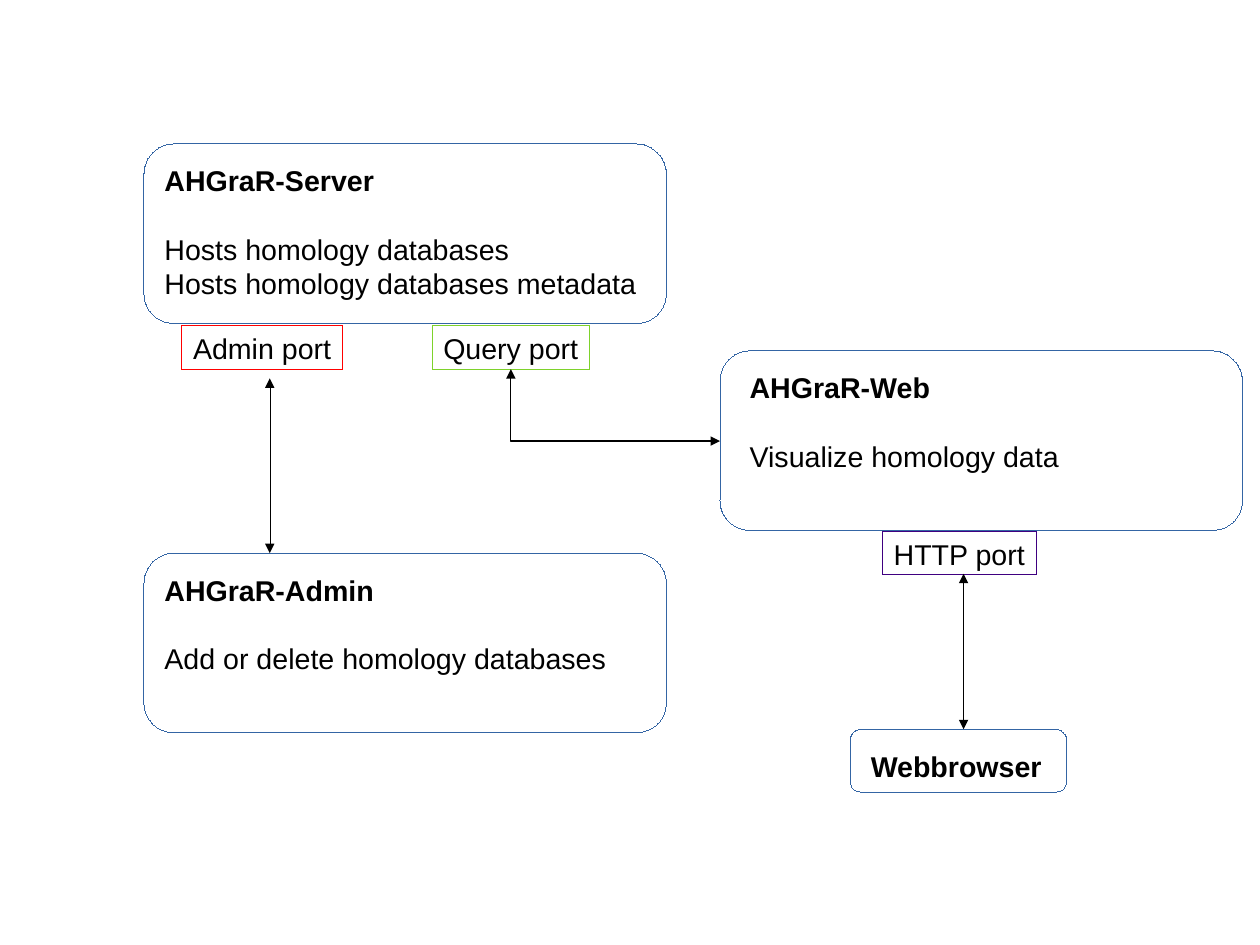
from lxml import etree
from pptx import Presentation
from pptx.dml.color import RGBColor
from pptx.enum.shapes import MSO_CONNECTOR as Connector, MSO_SHAPE as Shape
from pptx.enum.text import MSO_ANCHOR as Anchor, PP_ALIGN as Align
from pptx.oxml.ns import qn
from pptx.util import Inches, Pt

# Content: heading, details, box (left, top, width, height), text indent
COMPONENTS = [
    ("AHGraR-Server", ["Hosts homology databases", "Hosts homology databases metadata"],
     (1.26, 1.26, 4.57, 1.57), 0.08),
    ("AHGraR-Admin", ["Add or delete homology databases"], (1.26, 4.84, 4.57, 1.57), 0.08),
    ("AHGraR-Web", ["Visualize homology data"], (6.3, 3.07, 4.57, 1.57), 0.16),
    ("Webbrowser", [], (7.44, 6.38, 1.89, 0.55), 0.08),
]
# Label, box, outline colour, fill colour
PORTS = [
    ("Admin port", (1.59, 2.85, 1.41, 0.38), "FF0000", "FFFFFF"),
    ("Query port", (3.78, 2.85, 1.38, 0.38), "7ED22B", None),
    ("HTTP port", (7.72, 4.65, 1.35, 0.38), "3F0080", None),
]
# Kind, start, end, line width
ARROWS = [
    (Connector.STRAIGHT, (2.36, 4.84), (2.36, 3.31), 0),
    (Connector.ELBOW, (6.3, 3.86), (4.47, 3.23), 0.79),
    (Connector.STRAIGHT, (8.43, 6.38), (8.43, 5.02), 0),
]
FONT, SIZE, BLACK, BLUE = "Arial", 18, "000000", "3465A4"
CM_PER_INCH = 2.54
TEXT_DROP = 0.12
DETAIL_GAP = 21.5


def color(value):
    return RGBColor.from_string(value)


def inches(values):
    return [Inches(value) for value in values]


def write(frame, lines, bold_first=False, gap=0, wrap=True):
    frame.word_wrap = wrap
    frame.vertical_anchor = Anchor.TOP
    for index, line in enumerate(lines):
        para = frame.paragraphs[0] if index == 0 else frame.add_paragraph()
        para.alignment = Align.LEFT
        if index == 1:
            para.space_before = Pt(gap)
        span = para.add_run()
        span.text = line
        span.font.name, span.font.size = FONT, Pt(SIZE)
        span.font.bold = bold_first and index == 0
        span.font.color.rgb = color(BLACK)


def set_line(item, value, width=0):
    item.line.color.rgb = color(value)
    outline = item._element.spPr.find(qn("a:ln"))
    outline.set("w", str(int(Pt(width))))  # keeps an explicit zero: hairline
    return outline


def add_box(kind, place, outline, fill=None):
    box = page.shapes.add_shape(kind, *inches(place))
    box.shadow.inherit = False
    if fill:
        box.fill.solid()
        box.fill.fore_color.rgb = color(fill)
    else:
        box.fill.background()
    set_line(box, outline)
    return box


def add_arrow(kind, start, end, width):
    arrow = page.shapes.add_connector(kind, *inches(start + end))
    outline = set_line(arrow, BLACK, width)
    for side in ("a:headEnd", "a:tailEnd"):
        etree.SubElement(outline, qn(side), type="triangle")
    properties = arrow._element.spPr
    if kind == Connector.ELBOW:  # a single bend
        properties.find(qn("a:prstGeom")).set("prst", "bentConnector2")
    etree.SubElement(properties, qn("a:effectLst"))


deck = Presentation()
deck.slide_width = Inches(28 / CM_PER_INCH)
deck.slide_height = Inches(21 / CM_PER_INCH)
page = deck.slides.add_slide(deck.slide_layouts[6])

# Components
for heading, details, place, indent in COMPONENTS:
    left, top, width, height = place
    add_box(Shape.ROUNDED_RECTANGLE, place, BLUE)
    text_place = (left + indent, top + TEXT_DROP, width - indent, height - TEXT_DROP)
    label = page.shapes.add_textbox(*inches(text_place))
    write(label.text_frame, [heading] + details, bold_first=True, gap=DETAIL_GAP)

# Ports
for name, place, outline, fill in PORTS:
    port = add_box(Shape.RECTANGLE, place, outline, fill)
    write(port.text_frame, [name], wrap=False)

# Connections
for kind, start, end, width in ARROWS:
    add_arrow(kind, start, end, width)

deck.save("out.pptx")
